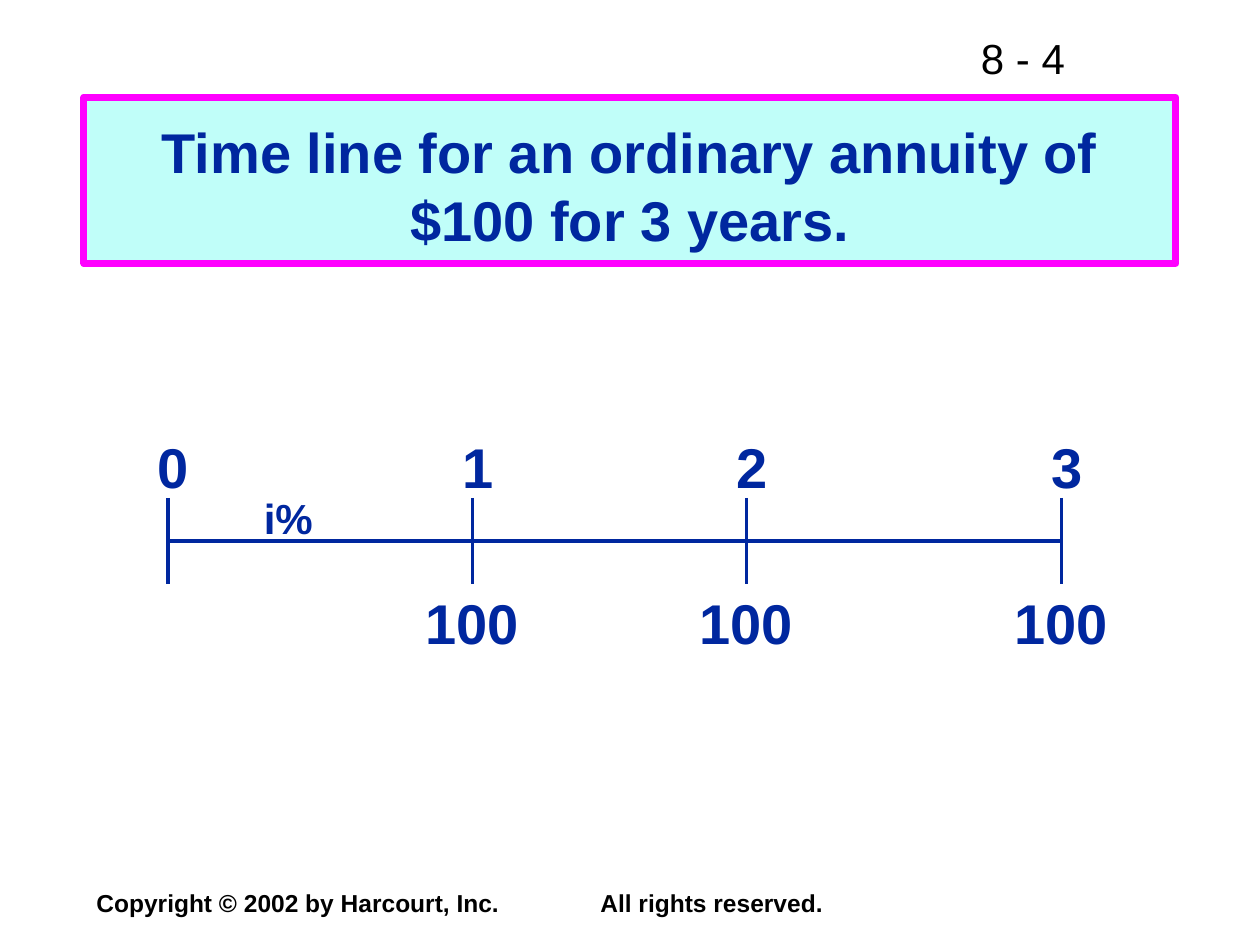
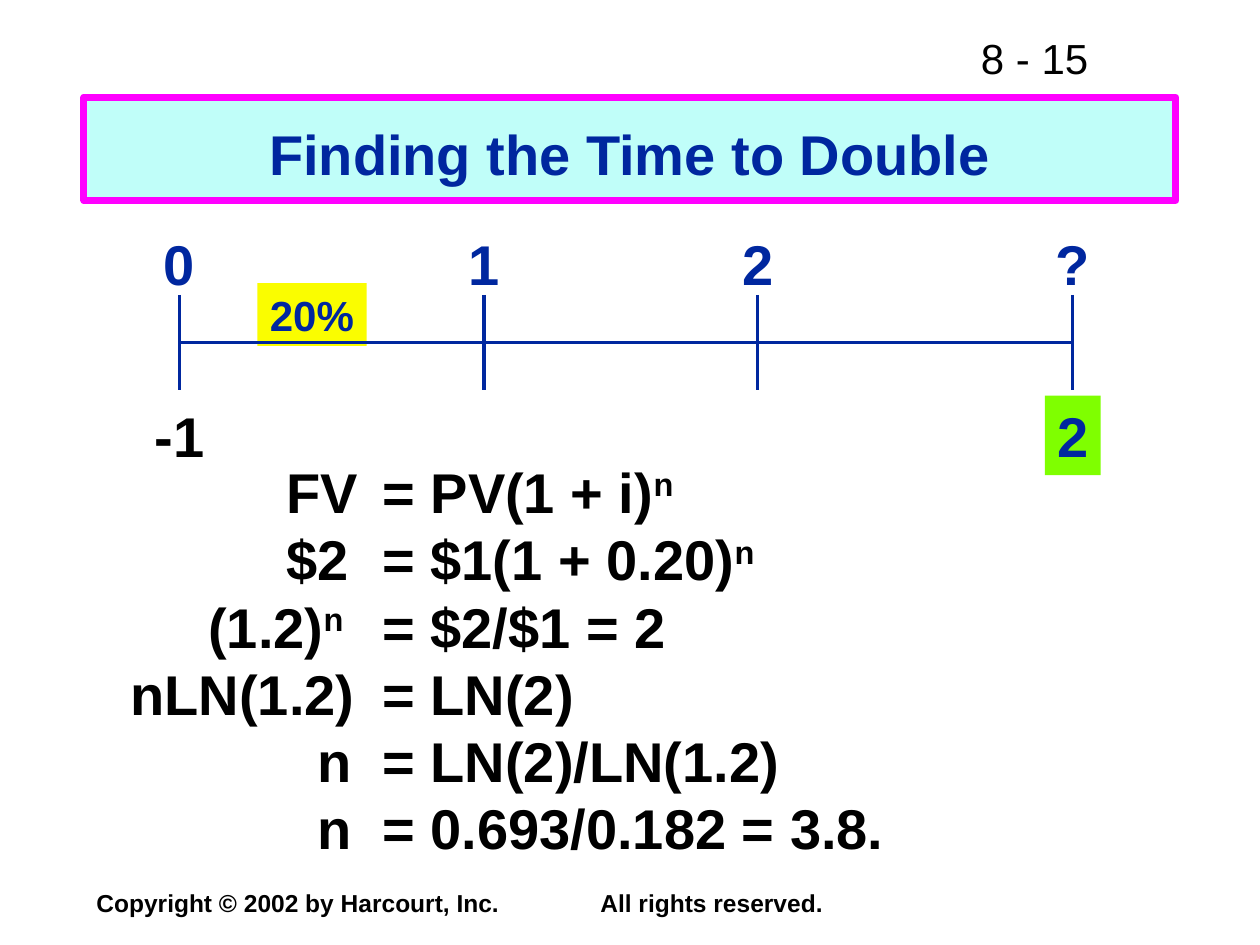
from collections import namedtuple

from lxml import etree
from pptx import Presentation
from pptx.dml.color import RGBColor
from pptx.enum.shapes import MSO_CONNECTOR, MSO_SHAPE
from pptx.enum.text import MSO_ANCHOR, MSO_AUTO_SIZE, PP_ALIGN
from pptx.oxml.ns import qn
from pptx.util import Pt

RECTANGLE = MSO_SHAPE.RECTANGLE
STRAIGHT = MSO_CONNECTOR.STRAIGHT
TOP, MIDDLE = MSO_ANCHOR.TOP, MSO_ANCHOR.MIDDLE
NO_FIT = MSO_AUTO_SIZE.NONE
LEFT, CENTER = PP_ALIGN.LEFT, PP_ALIGN.CENTER

FONT = "Arial"
LARGE, MEDIUM, SMALL = 32, 24, 14
TITLE_ONLY = 5
COLORS = {
    "navy": "00279F",
    "black": "000000",
    "aqua": "C0FEF9",
    "magenta": "FF00FF",
    "yellow": "FAFD00",
    "green": "7FFF00",
}

Box = namedtuple("Box", "left top width height")
Amount = namedtuple("Amount", "year text width color fill")

TICK_OFFSETS = [0, 174, 330.5, 510.5]
LABEL_HEIGHT = 45.5

EQUATIONS = [
    (89, "FV", "", "= PV(1 + i)", "n"),
    (89, "$2", "", "= $1(1 + 0.20)", "n"),
    (44.5, "(1.2)", "n", "= $2/$1 = 2", ""),
    (0, "nLN(1.2)", "", "= LN(2)", ""),
    (107, "n", "", "= LN(2)/LN(1.2)", ""),
    (107, "n", "", "= 0.693/0.182 = 3.8.", ""),
]


def rgb(name):
    return RGBColor.from_string(COLORS[name])


def points(box):
    return [Pt(value) for value in box]


def add_span(para, text, size, color, bold=True, raised=False):
    span = para.add_run()
    span.text = text
    span.font.name = FONT
    span.font.size = Pt(size)
    span.font.bold = bold
    span.font.color.rgb = rgb(color)
    if raised:
        span.font._element.set("baseline", "30000")


def set_tab(para, position):
    tabs = etree.SubElement(para._p.get_or_add_pPr(), qn("a:tabLst"))
    etree.SubElement(tabs, qn("a:tab"), pos=str(Pt(position)), algn="l")


def prepare_frame(shape, anchor=TOP, wrap=True):
    frame = shape.text_frame
    frame.auto_size = NO_FIT
    frame.word_wrap = wrap
    frame.vertical_anchor = anchor
    frame.margin_left = frame.margin_right = Pt(7.2)
    frame.margin_top = frame.margin_bottom = Pt(3.6)
    return frame


def format_para(para, size, align=LEFT):
    para.alignment = align
    para.line_spacing = Pt(size * 1.2)


def add_rectangle(page, box, fill):
    shape = page.shapes.add_shape(RECTANGLE, *points(box))
    shape.shadow.inherit = False
    shape.fill.solid()
    shape.fill.fore_color.rgb = rgb(fill)
    shape.line.fill.background()
    return shape


def add_label(page, box, text, size=LARGE, color="navy", fill=None):
    if fill:
        shape = add_rectangle(page, box, fill)
    else:
        shape = page.shapes.add_textbox(*points(box))
    para = prepare_frame(shape, wrap=False).paragraphs[0]
    format_para(para, size, CENTER)
    add_span(para, text, size, color)


def add_line(page, x1, y1, x2, y2):
    line = page.shapes.add_connector(STRAIGHT, Pt(x1), Pt(y1), Pt(x2), Pt(y2))
    line.line.color.rgb = rgb("navy")
    line.line.width = Pt(2)
    etree.SubElement(line._element.spPr, qn("a:effectLst"))


def add_page_number(page, box, number):
    para = prepare_frame(page.shapes.add_textbox(*points(box))).paragraphs[0]
    format_para(para, MEDIUM)
    add_span(para, number, MEDIUM, "black", bold=False)


def add_copyright(page, box):
    frame = prepare_frame(page.shapes.add_textbox(*points(box)), MIDDLE)
    para = frame.paragraphs[0]
    set_tab(para, 288)
    format_para(para, SMALL)
    text = "Copyright © 2002 by Harcourt, Inc.\tAll rights reserved."
    add_span(para, text, SMALL, "black")


def add_title(page, box, text):
    band = add_rectangle(page, box, "aqua")
    band.line.color.rgb = rgb("magenta")
    band.line.width = Pt(4)
    title = page.shapes.title
    band._element.addnext(title._element)
    title.left, title.top, title.width, title.height = points(
        Box(box.left + 6, box.top + 5.5, box.width - 12, box.height - 5.5)
    )
    para = prepare_frame(title, MIDDLE).paragraphs[0]
    format_para(para, LARGE, CENTER)
    add_span(para, text, LARGE, "navy")


def add_page(deck, number, title, title_height):
    page = deck.slides.add_slide(deck.slide_layouts[TITLE_ONLY])
    add_page_number(page, Box(553.5, 15, 158.5, 36), number)
    add_copyright(page, Box(48, 504, 624, 24))
    add_title(page, Box(48, 55.5, 624, title_height), title)
    return page


def add_time_line(page, box, years, year_shift, rate, amounts, amount_gap):
    ticks = [box.left + offset for offset in TICK_OFFSETS]
    bottom = box.top + box.height
    axis = box.top + box.height / 2
    rate_text, rate_offset, rate_width, rate_fill = rate
    rate_box = Box(box.left + rate_offset, box.top - 6.75, rate_width, 36)
    add_label(page, rate_box, rate_text, MEDIUM, fill=rate_fill)
    for tick, year in zip(ticks, years):
        add_line(page, tick, box.top, tick, bottom)
        left = tick + year_shift - 16
        add_label(page, Box(left, box.top - 41, 32, LABEL_HEIGHT), year)
    add_line(page, ticks[0], axis, ticks[-1], axis)
    for amount in amounts:
        left = ticks[amount.year] - amount.width / 2
        label_box = Box(left, bottom + amount_gap, amount.width, LABEL_HEIGHT)
        add_label(page, label_box, amount.text, LARGE, amount.color, amount.fill)


def add_equations(page, box):
    frame = prepare_frame(page.shapes.add_textbox(*points(box)))
    for index, (indent, left, left_power, right, right_power) in enumerate(EQUATIONS):
        para = frame.add_paragraph() if index else frame.paragraphs[0]
        set_tab(para, 135.5)
        format_para(para, LARGE)
        para._p.get_or_add_pPr().set("indent", str(Pt(indent)))
        add_span(para, left, LARGE, "black")
        if left_power:
            add_span(para, left_power, LARGE, "black", raised=True)
        add_span(para, "\t" + right, LARGE, "black")
        if right_power:
            add_span(para, right_power, LARGE, "black", raised=True)


def build_annuity_page(deck):
    title = "Time line for an ordinary annuity of $100 for 3 years."
    page = add_page(deck, "8 - 4", title, 95)
    payments = [Amount(year, "100", 67.5, "navy", None) for year in (1, 2, 3)]
    add_time_line(
        page, Box(96, 284.5, 510.5, 49.5), "0123", 3,
        ("i%", 47.5, 42.5, None), payments, -1.5,
    )


def build_doubling_page(deck):
    page = add_page(deck, "8 - 15", "Finding the Time to Double", 59)
    amounts = [
        Amount(0, "-1", 38, "black", None),
        Amount(3, "2", 32, "navy", "green"),
    ]
    add_time_line(
        page, Box(102.5, 168.5, 510.5, 54.5), "012?", 0,
        ("20%", 44.5, 62.5, "yellow"), amounts, 3,
    )
    add_equations(page, Box(67.5, 258, 460, 237.5))


def main():
    deck = Presentation()
    deck.slide_width, deck.slide_height = Pt(720), Pt(540)
    build_annuity_page(deck)
    build_doubling_page(deck)
    deck.save("out.pptx")


if __name__ == "__main__":
    main()
